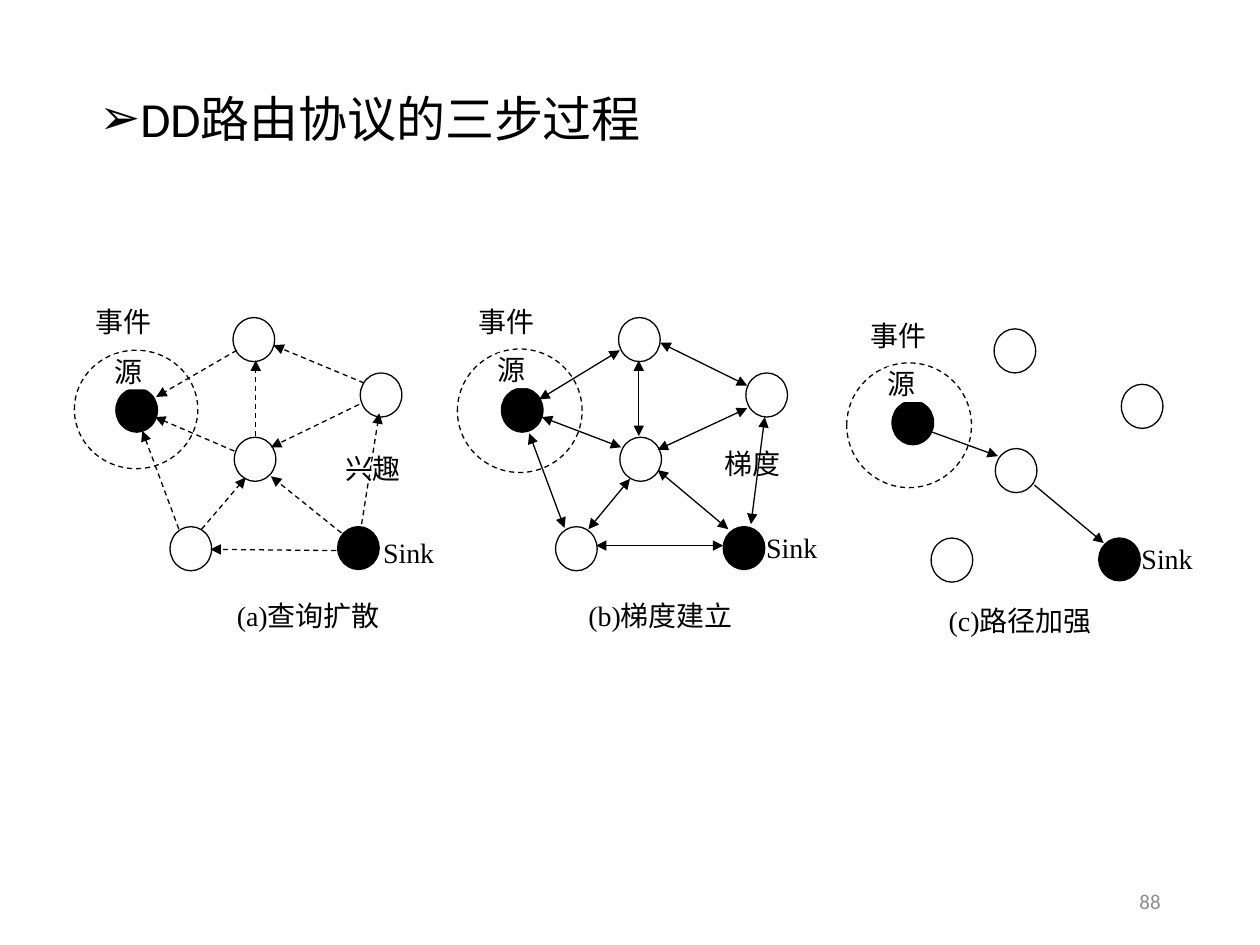
from pptx import Presentation
from pptx.dml.color import RGBColor
from pptx.enum.dml import MSO_LINE
from pptx.enum.shapes import MSO_CONNECTOR, MSO_SHAPE
from pptx.enum.text import MSO_ANCHOR, PP_ALIGN
from pptx.oxml.ns import qn
from pptx.util import Inches, Pt
from lxml.etree import SubElement

COLORS = {k: RGBColor.from_string(v) for k, v in
          {"black": "000000", "white": "FFFFFF", "gray": "8C8C8C"}.items()}
SERIF, SANS = "Times New Roman", "Calibri"

prs = Presentation()
prs.slide_width, prs.slide_height = Inches(10), Inches(7.5)
s = prs.slides.add_slide(prs.slide_layouts[6])


def add_text(text, x, y, w, h, size=16, font=SERIF, color="black",
             align=PP_ALIGN.JUSTIFY, label=True):
    sp = s.shapes.add_textbox(Inches(x), Inches(y), Inches(w), Inches(h))
    tf = sp.text_frame
    tf.word_wrap = True
    if label:
        sp.fill.solid()
        sp.fill.fore_color.rgb = COLORS["white"]
        tf.margin_left = tf.margin_right = tf.margin_top = tf.margin_bottom = 0
    tf.text = text
    p = tf.paragraphs[0]
    p.alignment = align
    f = p.runs[0].font
    f.size, f.name, f.color.rgb = Pt(size), font, COLORS[color]
    return tf


def add_arrow(x1, y1, x2, y2, dashed=False, both=False):
    c = s.shapes.add_connector(MSO_CONNECTOR.STRAIGHT, Inches(x1), Inches(y1),
                               Inches(x2), Inches(y2))
    c.line.color.rgb, c.line.width = COLORS["black"], Pt(0.75)
    if dashed:
        c.line.dash_style = MSO_LINE.DASH
    ln = c.line._get_or_add_ln()
    if both:
        SubElement(ln, qn("a:headEnd"), type="triangle")
    SubElement(ln, qn("a:tailEnd"), type="triangle")
    SubElement(c._element.spPr, qn("a:effectLst"))


# Title with arrow bullet
tf = add_text("DD路由协议的三步过程", 0.69, 0.42, 8.62, 6.34, 28, SANS,
              align=PP_ALIGN.LEFT, label=False)
p = tf.paragraphs[0]
p.line_spacing, p.space_before = 1.5, Pt(10)
pPr = p._p.get_or_add_pPr()
pPr.set("marL", str(Inches(0.25)))
pPr.set("indent", str(-Inches(0.25)))
SubElement(pPr, qn("a:buFont"), typeface="Arial")
SubElement(pPr, qn("a:buChar"), char="➢")

# Page number
tf = add_text("88", 7.06, 6.95, 2.25, 0.4, 12, SANS, "gray", PP_ALIGN.RIGHT, label=False)
tf.vertical_anchor = MSO_ANCHOR.MIDDLE

# Link labels lie behind the arrows
add_text("梯度", 5.75, 3.54, 0.56, 0.35)
add_text("兴趣", 2.55, 3.58, 0.82, 0.35, align=PP_ALIGN.CENTER)

# Event areas, then the same nodes in each panel: x, y, w, h, fill, dashed
ellipses = [(0.59, 2.78, 0.98, 0.94, "white", True),
            (3.63, 2.77, 0.99, 0.98, "white", True),
            (6.72, 2.88, 0.99, 0.99, "white", True)]
nodes = [(1.85, 2.52), (2.86, 2.96), (1.86, 3.47), (1.35, 4.18)]
sink = (2.68, 4.18)
for dx, dy in [(0, 0), (3.06, 0), (6.04, 0.09)]:
    ellipses += [(x + dx, y + dy, 0.33, 0.35, "white", False) for x, y in nodes]
    ellipses.append((sink[0] + dx, sink[1] + dy, 0.33, 0.34, "black", False))
ellipses += [(x, y, 0.33, 0.35, "black", False)
             for x, y in [(0.92, 3.08), (3.98, 3.08), (7.08, 3.18)]]
for x, y, w, h, fill, dashed in ellipses:
    sp = s.shapes.add_shape(MSO_SHAPE.OVAL, Inches(x), Inches(y), Inches(w), Inches(h))
    sp.shadow.inherit = False
    sp.fill.solid()
    sp.fill.fore_color.rgb = COLORS[fill]
    sp.line.color.rgb, sp.line.width = COLORS["black"], Pt(0.75)
    if dashed:
        sp.line.dash_style = MSO_LINE.DASH

# (a) interest spreads from the sink
for ends in [(1.88, 2.78, 1.24, 3.15), (1.86, 3.58, 1.23, 3.31),
             (1.42, 4.2, 1.13, 3.42), (2.03, 3.46, 2.03, 2.86),
             (2.89, 3.04, 2.17, 2.74), (2.71, 4.23, 2.15, 3.78),
             (1.6, 4.2, 1.95, 3.79), (2.67, 4.37, 1.67, 4.36),
             (2.85, 3.21, 2.15, 3.55), (2.87, 4.16, 3.01, 3.28)]:
    add_arrow(*ends, dashed=True)

# (b) gradients run both ways
for ends in [(4.28, 3.17, 4.92, 2.78), (4.2, 3.44, 4.48, 4.19),
             (5.07, 3.46, 5.07, 2.86), (4.3, 3.31, 4.93, 3.55),
             (4.67, 4.2, 5, 3.8), (4.73, 4.33, 5.74, 4.33),
             (5.22, 3.73, 5.78, 4.2), (5.24, 2.72, 5.93, 3.06),
             (6.07, 3.31, 5.96, 4.16), (5.22, 3.57, 5.93, 3.24)]:
    add_arrow(*ends, both=True)

# (c) reinforced path
for ends in [(7.4, 3.43, 7.92, 3.62), (8.21, 3.85, 8.76, 4.31)]:
    add_arrow(*ends)

# Labels: text, width, height, position in each panel
for text, w, h, spots in [
        ("源", 0.31, 0.28, [(0.91, 2.81), (3.95, 2.8), (7.04, 2.91)]),
        ("事件", 0.54, 0.29, [(0.76, 2.42), (3.8, 2.42), (6.91, 2.53)]),
        ("Sink", 0.56, 0.29, [(3.04, 4.25), (6.08, 4.21), (9.06, 4.3)])]:
    for x, y in spots:
        add_text(text, x, y, w, h)

# Captions
for text, x, y in [("(a)查询扩散", 1.88, 4.75), ("(b)梯度建立", 4.67, 4.75),
                   ("(c)路径加强", 7.53, 4.79)]:
    add_text(text, x, y, 1.4, 0.37)

prs.save("out.pptx")
